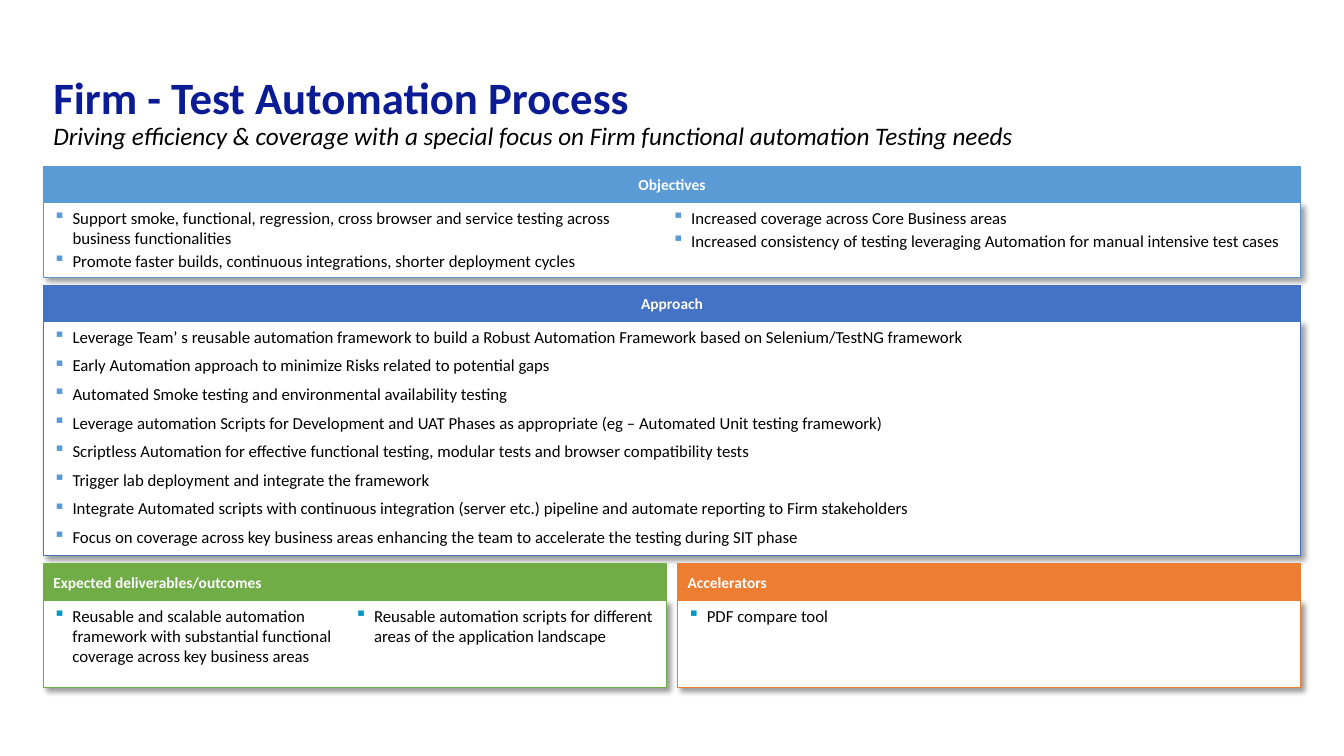
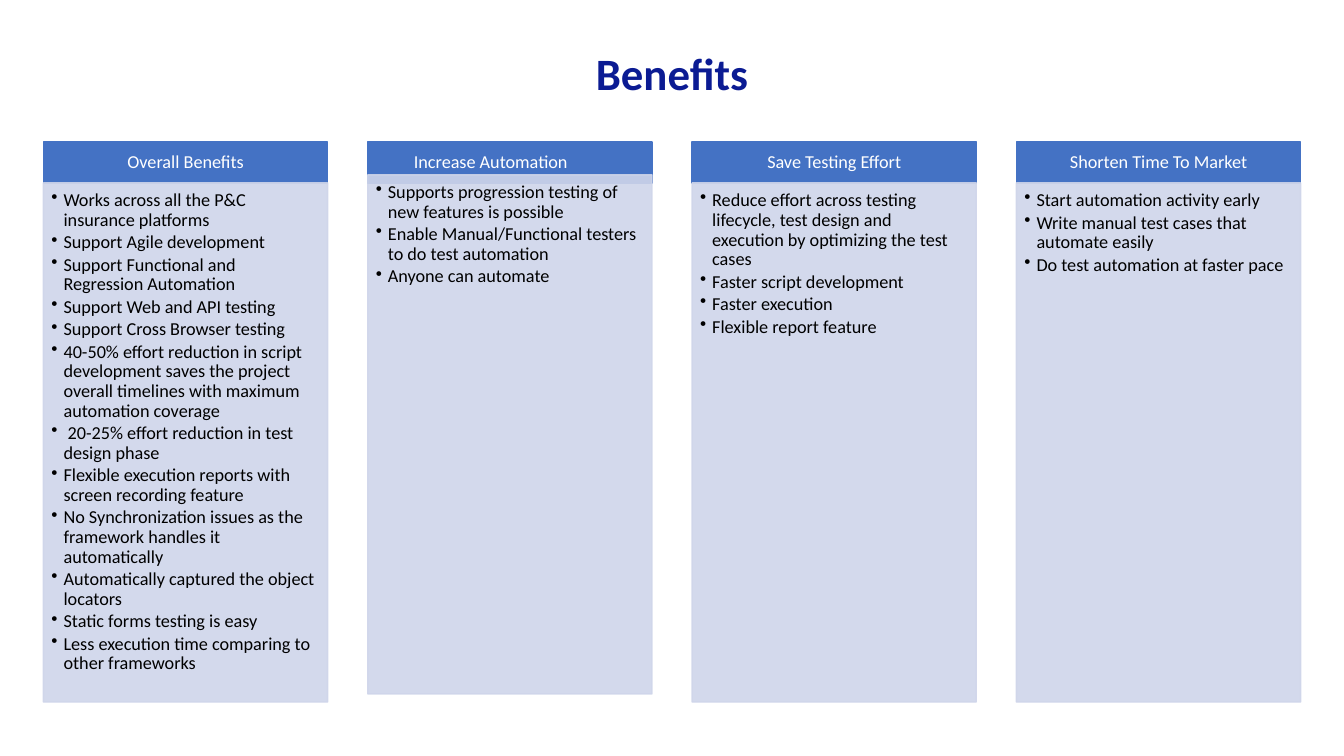
"""Build two slides on a test automation process and its benefits."""
from dataclasses import dataclass
from typing import Optional

from lxml.etree import SubElement
from pptx import Presentation
from pptx.dml.color import RGBColor
from pptx.enum.shapes import MSO_SHAPE as Preset
from pptx.enum.text import MSO_ANCHOR as Anchor, PP_ALIGN as Align
from pptx.oxml.ns import qn
from pptx.shapes.autoshape import Shape
from pptx.slide import Slide
from pptx.text.text import TextFrame
from pptx.util import Emu, Inches, Pt

WHITE = RGBColor(0xFF, 0xFF, 0xFF)
BLACK = RGBColor(0x00, 0x00, 0x00)
NAVY = RGBColor(0x0B, 0x1B, 0x93)
SKY = RGBColor(0x5B, 0x9B, 0xD5)
BLUE = RGBColor(0x44, 0x72, 0xC4)
GREEN = RGBColor(0x70, 0xAD, 0x47)
ORANGE = RGBColor(0xED, 0x7D, 0x31)
TEAL = RGBColor(0x00, 0x98, 0xC7)
LAVENDER = RGBColor(0xCF, 0xD5, 0xEA)

FONT = "Calibri"
SLIDE_WIDTH, SLIDE_HEIGHT = Inches(13.33), Inches(7.5)
MARGIN = 3.23
TITLE_HEIGHT = 19.33
ROW_GAP = 1.07


@dataclass(frozen=True)
class Area:
    """A rectangle in percent of the slide's width and height."""
    left: float
    top: float
    width: float
    height: float

    def emu(self) -> tuple[Emu, Emu, Emu, Emu]:
        """Return the rectangle in slide units."""
        return (Emu(int(SLIDE_WIDTH * self.left / 100)), Emu(int(SLIDE_HEIGHT * self.top / 100)),
                Emu(int(SLIDE_WIDTH * self.width / 100)), Emu(int(SLIDE_HEIGHT * self.height / 100)))


@dataclass(frozen=True)
class TextStyle:
    """The look of a paragraph, with an optional bullet."""
    size: float
    color: RGBColor
    bold: bool = False
    italic: bool = False
    align: Align = Align.LEFT
    line: float = 1.0
    after: float = 0
    bullet: str = ""
    bullet_color: RGBColor = BLACK
    indent: float = 0


@dataclass(frozen=True)
class Insets:
    """Inner margins of a text frame in inches."""
    left: float = 0.1
    top: float = 0.05
    right: float = 0.1
    bottom: float = 0.05


@dataclass(frozen=True)
class Panel:
    """A headed list on the process slide."""
    heading: str
    items: tuple[str, ...]
    color: RGBColor
    after: float
    bullet_color: RGBColor = SKY
    text_columns: int = 1
    heading_align: Align = Align.CENTER


@dataclass(frozen=True)
class PanelRow:
    """Panels side by side that share a body height."""
    body_height: float
    panels: tuple[Panel, ...]


@dataclass(frozen=True)
class Benefit:
    """A column on the benefits slide."""
    heading: str
    items: tuple[str, ...]
    lift: float = 0
    heading_right: float = 0.1


PANEL_ROWS = (
    PanelRow(9.87, (
        Panel("Objectives", (
            "Support smoke, functional, regression, cross browser and service testing across "
            "business functionalities",
            "Promote faster builds, continuous integrations, shorter deployment cycles",
            "Increased coverage across Core Business areas",
            "Increased consistency of testing leveraging Automation for manual intensive test cases",
        ), SKY, after=2, text_columns=2),
    )),
    PanelRow(31, (
        Panel("Approach", (
            "Leverage Team’ s reusable automation framework to build a Robust Automation Framework "
            "based on Selenium/TestNG framework",
            "Early Automation approach to minimize Risks related to potential gaps",
            "Automated Smoke testing and environmental availability testing",
            "Leverage automation Scripts for Development and UAT Phases as appropriate "
            "(eg – Automated Unit testing framework)",
            "Scriptless Automation for effective functional testing, modular tests and browser "
            "compatibility tests",
            "Trigger lab deployment and integrate the framework",
            "Integrate Automated scripts with continuous integration (server etc.) pipeline and "
            "automate reporting to Firm stakeholders",
            "Focus on coverage across key business areas enhancing the team to accelerate the "
            "testing during SIT phase",
        ), BLUE, after=6),
    )),
    PanelRow(11.6, (
        Panel("Expected deliverables/outcomes", (
            "Reusable and scalable automation framework with substantial functional coverage "
            "across key business areas",
            "Reusable automation scripts for different areas of the application landscape",
        ), GREEN, after=4, bullet_color=TEAL, text_columns=2, heading_align=Align.LEFT),
        Panel("Accelerators", ("PDF compare tool",), ORANGE, after=4, bullet_color=TEAL,
              heading_align=Align.LEFT),
    )),
)

BENEFITS = (
    Benefit("Overall Benefits", (
        "Works across all the P&C insurance platforms",
        "Support Agile development",
        "Support Functional and Regression Automation",
        "Support Web and API testing",
        "Support Cross Browser testing",
        "40-50% effort reduction in script development saves the project overall timelines "
        "with maximum automation coverage",
        " 20-25% effort reduction in test design phase",
        "Flexible execution reports with screen recording feature",
        "No Synchronization issues as the framework handles it automatically",
        "Automatically captured the object locators",
        "Static forms testing is easy",
        "Less execution time comparing to other frameworks",
    )),
    Benefit("Increase Automation", (
        "Supports progression testing of new features is possible",
        "Enable Manual/Functional testers to do test automation",
        "Anyone can automate",
    ), lift=ROW_GAP, heading_right=0.48),
    Benefit("Save Testing Effort", (
        "Reduce effort across testing lifecycle, test design and execution by optimizing the "
        "test cases",
        "Faster script development",
        "Faster execution",
        "Flexible report feature",
    )),
    Benefit("Shorten Time To Market", (
        "Start automation activity early",
        "Write manual test cases that automate easily",
        "Do test automation at faster pace",
    )),
)


def column_area(index: int, count: int, gap: float, top: float, height: float) -> Area:
    """Place one of several equal columns between the slide margins."""
    width = (100 - 2 * MARGIN - (count - 1) * gap) / count
    return Area(MARGIN + index * (width + gap), top, width, height)


def write(frame: TextFrame, lines: list[tuple[str, TextStyle]], anchor: Anchor,
          insets: Insets = Insets()) -> None:
    """Fill a text frame with one styled paragraph per line."""
    frame.word_wrap = True
    frame.vertical_anchor = anchor
    frame.margin_left, frame.margin_top = Inches(insets.left), Inches(insets.top)
    frame.margin_right, frame.margin_bottom = Inches(insets.right), Inches(insets.bottom)
    for number, (text, style) in enumerate(lines):
        paragraph = frame.add_paragraph() if number else frame.paragraphs[0]
        paragraph.text = text
        paragraph.alignment = style.align
        paragraph.line_spacing = style.line
        paragraph.space_after = Pt(style.after)
        if style.bullet:
            properties = paragraph._p.get_or_add_pPr()
            properties.set("marL", str(Inches(style.indent)))
            properties.set("indent", str(-Inches(style.indent)))
            bullet_color = SubElement(properties, qn("a:buClr"))
            SubElement(bullet_color, qn("a:srgbClr"), val=str(style.bullet_color))
            SubElement(properties, qn("a:buChar"), char=style.bullet)
        font = paragraph.font
        font.name, font.size = FONT, Pt(style.size)
        font.bold, font.italic = style.bold, style.italic
        font.color.rgb = style.color


def add_title(slide: Slide, top: float, lines: list[tuple[str, TextStyle]],
              insets: Insets = Insets()) -> None:
    """Write the slide's title across the full grid."""
    title = slide.shapes.add_textbox(*column_area(0, 1, 0, top, TITLE_HEIGHT).emu())
    write(title.text_frame, lines, Anchor.MIDDLE, insets)


def add_block(slide: Slide, area: Area, fill: RGBColor, line: RGBColor, weight: float,
              opacity: Optional[int] = None) -> Shape:
    """Draw a flat rectangle."""
    block = slide.shapes.add_shape(Preset.RECTANGLE, *area.emu())
    block.shadow.inherit = False
    block.fill.solid()
    block.fill.fore_color.rgb = fill
    block.line.color.rgb = line
    block.line.width = Pt(weight)
    if opacity is not None:
        for color in list(block._element.spPr.iter(qn("a:srgbClr"))):
            SubElement(color, qn("a:alpha"), val=str(opacity * 1000))
    return block


def cast_shadow(block: Shape) -> None:
    """Give a block a soft shadow to the lower right."""
    effects = block._element.spPr.find(qn("a:effectLst"))
    shadow = SubElement(effects, qn("a:outerShdw"), blurRad=str(Pt(4)), dist=str(Pt(3)),
                        dir=str(45 * 60000), algn="tl", rotWithShape="0")
    color = SubElement(shadow, qn("a:srgbClr"), val=str(BLACK))
    SubElement(color, qn("a:alpha"), val="40000")


def add_panel(slide: Slide, panel: Panel, header: Area, body_height: float) -> None:
    """Draw a shadowed list with its coloured header on top."""
    body_area = Area(header.left, header.top + header.height, header.width, body_height)
    body = add_block(slide, body_area, WHITE, panel.color, 0.75)
    cast_shadow(body)
    item_style = TextStyle(12, BLACK, after=panel.after, bullet="▪",
                           bullet_color=panel.bullet_color, indent=0.19)
    write(body.text_frame, [(item, item_style) for item in panel.items], Anchor.TOP)
    body.text_frame._txBody.bodyPr.set("numCol", str(panel.text_columns))
    heading = add_block(slide, header, panel.color, panel.color, 0.75)
    heading_style = TextStyle(11, WHITE, bold=True, align=panel.heading_align)
    write(heading.text_frame, [(panel.heading, heading_style)], Anchor.MIDDLE)


def add_benefit(slide: Slide, benefit: Benefit, header: Area) -> None:
    """Draw a benefit's header and its translucent list."""
    heading = add_block(slide, header, BLUE, BLUE, 1)
    heading_style = TextStyle(13, WHITE, align=Align.CENTER, line=0.9)
    write(heading.text_frame, [(benefit.heading, heading_style)], Anchor.MIDDLE,
          Insets(0.1, 0.06, benefit.heading_right, 0.06))
    body_area = Area(header.left, header.top + header.height - benefit.lift, header.width, 68.67)
    body = add_block(slide, body_area, LAVENDER, LAVENDER, 1, opacity=90)
    item_style = TextStyle(13, BLACK, line=0.9, after=1.95, bullet="•", indent=0.12)
    write(body.text_frame, [(item, item_style) for item in benefit.items], Anchor.TOP,
          Insets(0.08, 0.08, 0.1, 0.11))


def build_process(slide: Slide) -> None:
    """Lay out the process slide as stacked rows of panels."""
    add_title(slide, 5.33, [
        ("Firm - Test Automation Process", TextStyle(32, NAVY, bold=True, line=0.9)),
        ("Driving efficiency & coverage with a special focus on Firm functional automation "
         "Testing needs", TextStyle(18, BLACK, italic=True, line=0.9)),
    ])
    top, header_height = 22.0, 4.8
    for row in PANEL_ROWS:
        for index, panel in enumerate(row.panels):
            header = column_area(index, len(row.panels), 0.85, top, header_height)
            add_panel(slide, panel, header, row.body_height)
        top += header_height + row.body_height + ROW_GAP


def build_benefits(slide: Slide) -> None:
    """Lay out the benefits slide as equal columns."""
    title_style = TextStyle(32, NAVY, bold=True, align=Align.CENTER, line=0.9)
    add_title(slide, 2.53, [("Benefits", title_style)], Insets(bottom=0.37))
    for index, benefit in enumerate(BENEFITS):
        add_benefit(slide, benefit, column_area(index, len(BENEFITS), 2.98, 18.8, 5.4))


def main() -> None:
    """Build and save the presentation."""
    deck = Presentation()
    deck.slide_width, deck.slide_height = SLIDE_WIDTH, SLIDE_HEIGHT
    for build in (build_process, build_benefits):
        build(deck.slides.add_slide(deck.slide_layouts[6]))
    deck.save("out.pptx")


main()
